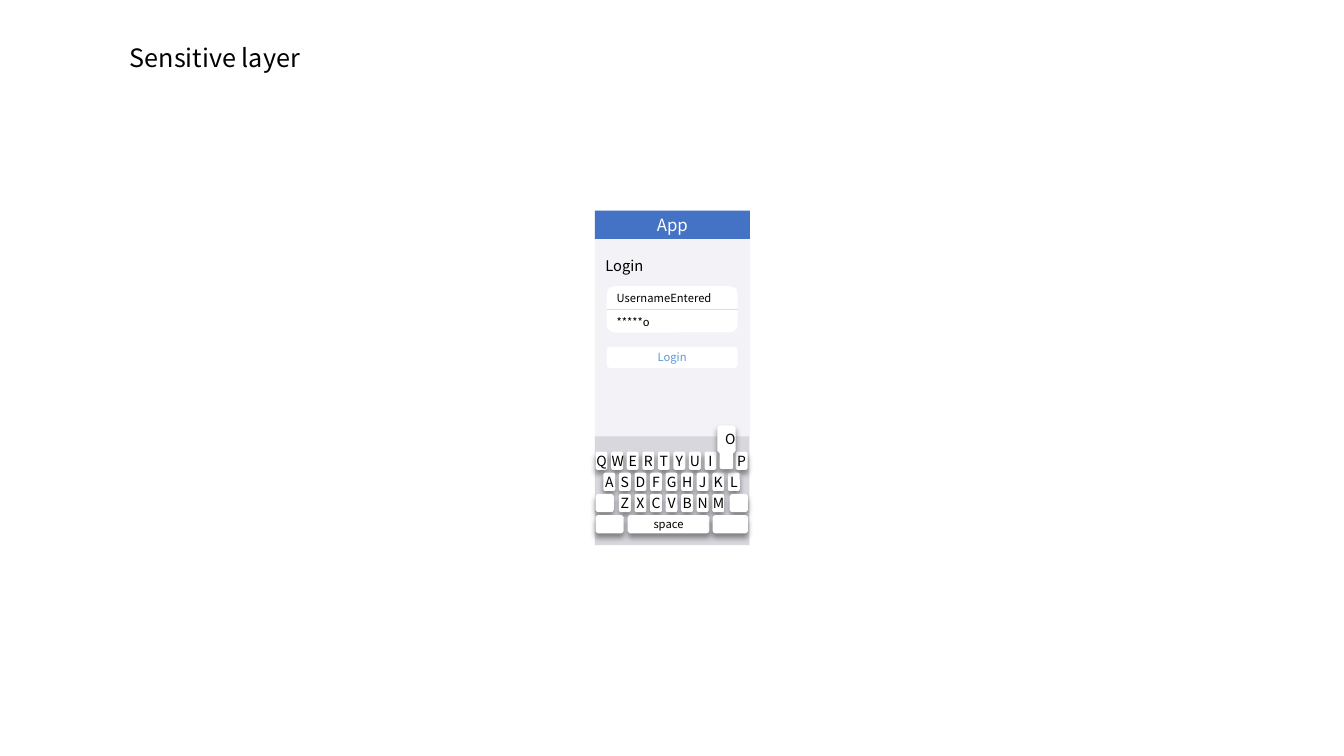
from math import cos, radians, sin

from lxml.etree import SubElement
from pptx import Presentation
from pptx.dml.color import RGBColor
from pptx.enum.shapes import MSO_CONNECTOR as Connector, MSO_SHAPE as Shape
from pptx.enum.text import MSO_ANCHOR as Anchor, MSO_AUTO_SIZE as AutoSize, PP_ALIGN as Align
from pptx.oxml.ns import qn
from pptx.util import Cm, Pt

BLACK = RGBColor(0x00, 0x00, 0x00)
WHITE = RGBColor(0xFF, 0xFF, 0xFF)
HEADER_BLUE = RGBColor(0x44, 0x72, 0xC4)
BUTTON_BLUE = RGBColor(0x5B, 0x9B, 0xD5)
SCREEN_GRAY = RGBColor(0xF2, 0xF2, 0xF7)
KEYBOARD_GRAY = RGBColor(0xD7, 0xD7, 0xDD)
DIVIDER_GRAY = RGBColor(0xDD, 0xDD, 0xDE)

PHONE_LEFT, PHONE_TOP, PHONE_WIDTH = 14.99, 5.31, 3.91
FORM_LEFT, FORM_TOP, FORM_WIDTH = 15.29, 7.21, 3.3
FIELD_PITCH = 0.59
KEYS_LEFT, KEYS_TOP = 15.01, 11.38
KEY_WIDTH, KEY_HEIGHT = 0.3, 0.46
KEY_PITCH, ROW_PITCH = 3.53 / 9, 1.6 / 3
LETTER_ROWS = [("QWERTYUIOP", 0), ("ASDFGHJKL", 0.5), ("ZXCVBNM", 1.5)]
PRESSED_KEY = "O"
WIDE_KEYS = [
    (2, 15.01, 0.46, ""),
    (2, 18.39, 0.46, ""),
    (3, 15.01, 0.71, ""),
    (3, 15.82, 2.06, "space"),
    (3, 17.96, 0.89, ""),
]
POPUP_LEFT, POPUP_TOP, POPUP_WIDTH = 18.08, 10.72, 0.46


def set_all(target, values):
    for name, value in values.items():
        setattr(target, name, value)


def arc(center_x, center_y, radius, start):
    angles = [radians(start + step * 22.5) for step in range(5)]
    return [(center_x + radius * cos(a), center_y + radius * sin(a)) for a in angles]


class SlideBuilder:
    font_name = "Noto Sans CJK SC"
    no_margins = dict.fromkeys(
        ["margin_left", "margin_right", "margin_top", "margin_bottom"], Cm(0))
    text_margins = no_margins | {"margin_left": Cm(0.25), "margin_right": Cm(0.25)}

    def __init__(self, page):
        self.page = page
        self.canvas = page.shapes

    def start_group(self):
        self.canvas = self.page.shapes.add_group_shape().shapes

    def fill_text(self, shape, text, size, color=BLACK, align=Align.LEFT, **frame_values):
        frame = shape.text_frame
        set_all(frame, {"word_wrap": True, "auto_size": AutoSize.NONE,
                        "vertical_anchor": Anchor.MIDDLE,
                        **self.text_margins, **frame_values})
        para = frame.paragraphs[0]
        para.alignment = align
        span = para.add_run()
        span.text = text
        set_all(span.font, {"name": self.font_name, "size": Pt(size)})
        span.font.color.rgb = color

    def title(self, left, top, width, height, text, size):
        title = self.page.shapes.title
        set_all(title, {"left": Cm(left), "top": Cm(top),
                        "width": Cm(width), "height": Cm(height)})
        self.fill_text(title, text, size)

    def text(self, left, top, width, height, text, size, **values):
        box = self.canvas.add_textbox(Cm(left), Cm(top), Cm(width), Cm(height))
        self.fill_text(box, text, size, **values)

    def paint(self, shape, fill, raised=False):
        shape.fill.solid()
        shape.fill.fore_color.rgb = fill
        shape.line.fill.background()
        shape.shadow.inherit = False
        if raised:
            effects = shape.element.spPr.find(qn("a:effectLst"))
            shadow = SubElement(effects, qn("a:outerShdw"), blurRad=str(Pt(4)),
                                dist=str(Pt(3)), dir="5400000", algn="t", rotWithShape="0")
            color = SubElement(shadow, qn("a:srgbClr"), val=str(BLACK))
            SubElement(color, qn("a:alpha"), val="40000")

    def block(self, kind, left, top, width, height, fill,
              text="", size=8, color=BLACK, raised=False):
        box = self.canvas.add_shape(kind, Cm(left), Cm(top), Cm(width), Cm(height))
        self.paint(box, fill, raised)
        if text:
            self.fill_text(box, text, size, color, Align.CENTER, **self.no_margins)

    def key(self, row, left, width, text="", size=10):
        self.block(Shape.ROUNDED_RECTANGLE, left, KEYS_TOP + row * ROW_PITCH,
                   width, KEY_HEIGHT, WHITE, text, size, raised=True)

    def divider(self, left, top, width, color):
        line = self.canvas.add_connector(
            Connector.STRAIGHT, Cm(left), Cm(top), Cm(left + width), Cm(top))
        line.line.color.rgb = color
        line.line.width = Pt(0.5)
        SubElement(line.element.spPr, qn("a:effectLst"))

    def outline(self, left, top, points, fill):
        corners = [(Cm(left + x), Cm(top + y)) for x, y in points]
        builder = self.canvas.build_freeform(*corners[0])
        builder.add_line_segments(corners[1:], close=True)
        self.paint(builder.convert_to_shape(), fill, raised=True)


deck = Presentation()
deck.slide_width, deck.slide_height = Cm(33.87), Cm(19.05)
slide = SlideBuilder(deck.slides.add_slide(deck.slide_layouts[5]))
slide.title(3.02, 0.94, 10.97, 1.02, "Sensitive layer", 18)

slide.start_group()
slide.block(Shape.RECTANGLE, PHONE_LEFT, PHONE_TOP, PHONE_WIDTH, 8.43, SCREEN_GRAY)
slide.block(Shape.RECTANGLE, PHONE_LEFT, PHONE_TOP, PHONE_WIDTH, 0.71, HEADER_BLUE,
            "App", 12, WHITE)
slide.text(15.01, 6.35, 1.9, 0.71, "Login", 10.5)
slide.block(Shape.ROUNDED_RECTANGLE, FORM_LEFT, FORM_TOP, FORM_WIDTH, 1.17, WHITE)
slide.divider(FORM_LEFT, FORM_TOP + FIELD_PITCH, FORM_WIDTH, DIVIDER_GRAY)
for index, entry in enumerate(["UsernameEntered", "*****o"]):
    slide.text(FORM_LEFT, FORM_TOP + index * FIELD_PITCH, 3.38, 0.61, entry, 8)
slide.block(Shape.ROUNDED_RECTANGLE, FORM_LEFT, 8.74, FORM_WIDTH, 0.53, WHITE,
            "Login", 8, BUTTON_BLUE)

slide.block(Shape.RECTANGLE, PHONE_LEFT, 11, 3.89, 2.74, KEYBOARD_GRAY)
for row, (letters, offset) in enumerate(LETTER_ROWS):
    for column, letter in enumerate(letters):
        if letter != PRESSED_KEY:
            slide.key(row, KEYS_LEFT + (column + offset) * KEY_PITCH, KEY_WIDTH, letter)
for row, left, width, label in WIDE_KEYS:
    slide.key(row, left, width, label, 8)

left_side = [*arc(0.11, 1.05, 0.05, 90), (0.06, 0.71), (0, 0.64), *arc(0.08, 0.08, 0.08, 180)]
right_side = [(POPUP_WIDTH - x, y) for x, y in reversed(left_side)]
slide.outline(POPUP_LEFT, POPUP_TOP, left_side + right_side, WHITE)
slide.text(POPUP_LEFT, POPUP_TOP, POPUP_WIDTH, 0.69, PRESSED_KEY, 10, align=Align.CENTER,
           word_wrap=False, margin_left=Cm(0.19), margin_right=Cm(0))

deck.save("out.pptx")
